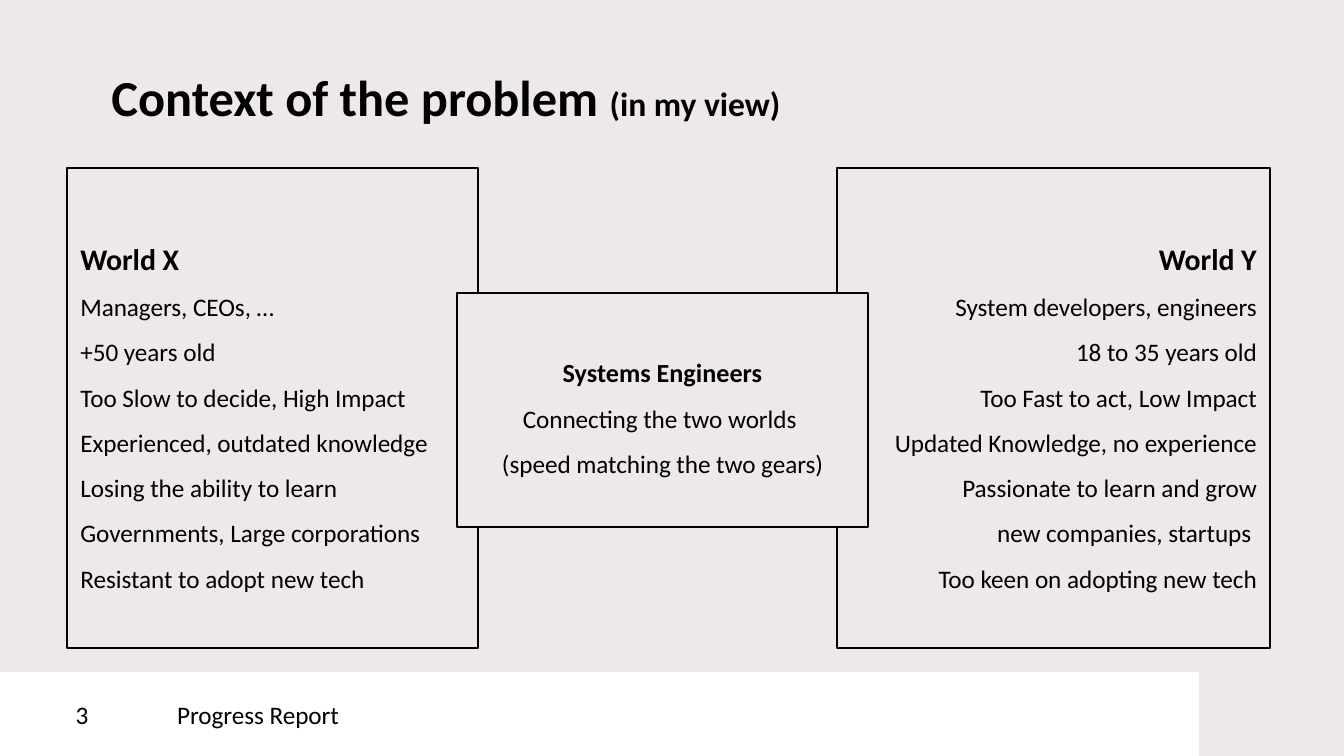
from pptx import Presentation
from pptx.dml.color import RGBColor
from pptx.enum.shapes import MSO_SHAPE
from pptx.enum.text import MSO_ANCHOR, PP_ALIGN
from pptx.util import Inches, Pt

RECT = MSO_SHAPE.RECTANGLE
TOP, MIDDLE = MSO_ANCHOR.TOP, MSO_ANCHOR.MIDDLE
LEFT, CENTER, RIGHT = PP_ALIGN.LEFT, PP_ALIGN.CENTER, PP_ALIGN.RIGHT

FONT = "Calibri"
BLACK, WHITE, PAPER = "000000", "FFFFFF", "EEE8E8"
BODY = 13.5

TITLE = [("Context of the problem ", 27), ("(in my view)", 18)]
FOOTER = [
    ((1.22, 5, 7.7, 0.63), LEFT, "Progress Report"),
    ((0, 5, 1.22, 0.63), CENTER, "3"),
]
WORLDS = [
    ((0.5, 1.25, 3.06, 3.57), LEFT, None, 16, "World X", [
        "Managers, CEOs, …",
        "+50 years old",
        "Too Slow to decide, High Impact",
        "Experienced, outdated knowledge",
        "Losing the ability to learn",
        "Governments, Large corporations",
        "Resistant to adopt new tech",
    ]),
    ((6.23, 1.25, 3.22, 3.57), RIGHT, None, 16, "World Y", [
        "System developers, engineers",
        "18 to 35 years old",
        "Too Fast to act, Low Impact",
        "Updated Knowledge, no experience",
        "Passionate to learn and grow",
        "new companies, startups ",
        "Too keen on adopting new tech",
    ]),
    ((3.4, 2.18, 3.06, 1.74), CENTER, PAPER, 14, "Systems Engineers", [
        "Connecting the two worlds ",
        "(speed matching the two gears)",
    ]),
]


def color(code):
    return RGBColor.from_string(code)


def add_run(para, text, size, bold=False):
    run = para.add_run()
    run.text = text
    run.font.name = FONT
    run.font.size = Pt(size)
    run.font.bold = bold
    run.font.color.rgb = color(BLACK)


def add_box(slide, place, fill, line, align, rows, gap=1.0):
    box = slide.shapes.add_shape(RECT, *map(Inches, place))
    box.shadow.inherit = False
    if fill:
        box.fill.solid()
        box.fill.fore_color.rgb = color(fill)
    else:
        box.fill.background()
    if line:
        box.line.color.rgb = color(line)
        box.line.width = Pt(1)
    else:
        box.line.fill.background()
    frame = box.text_frame
    frame.word_wrap = True
    frame.vertical_anchor = MIDDLE
    for i, row in enumerate(rows):
        para = frame.add_paragraph() if i else frame.paragraphs[0]
        para.alignment = align
        para.line_spacing = gap
        add_run(para, *row)


def add_title(slide):
    box = slide.shapes.add_textbox(*map(Inches, (0.83, 0.57, 8.26, 0.59)))
    frame = box.text_frame
    frame.word_wrap = True
    frame.vertical_anchor = TOP
    frame.margin_left = frame.margin_right = 0
    frame.margin_top = frame.margin_bottom = 0
    para = frame.paragraphs[0]
    para.line_spacing = Pt(27)
    for text, size in TITLE:
        add_run(para, text, size, True)


def main():
    deck = Presentation()
    deck.slide_width = Inches(10)
    deck.slide_height = deck.slide_width * 9 // 16
    blank = deck.slide_layouts[6]
    slide = deck.slides.add_slide(blank)
    slide.background.fill.solid()
    slide.background.fill.fore_color.rgb = color(PAPER)
    for place, align, text in FOOTER:
        add_box(slide, place, WHITE, None, align, [(text, BODY)])
    add_title(slide)
    for place, align, fill, size, head, items in WORLDS:
        rows = [(head, size, True)] + [(item, BODY) for item in items]
        add_box(slide, place, fill, BLACK, align, rows, 1.5)
    deck.save("out.pptx")


if __name__ == "__main__":
    main()
